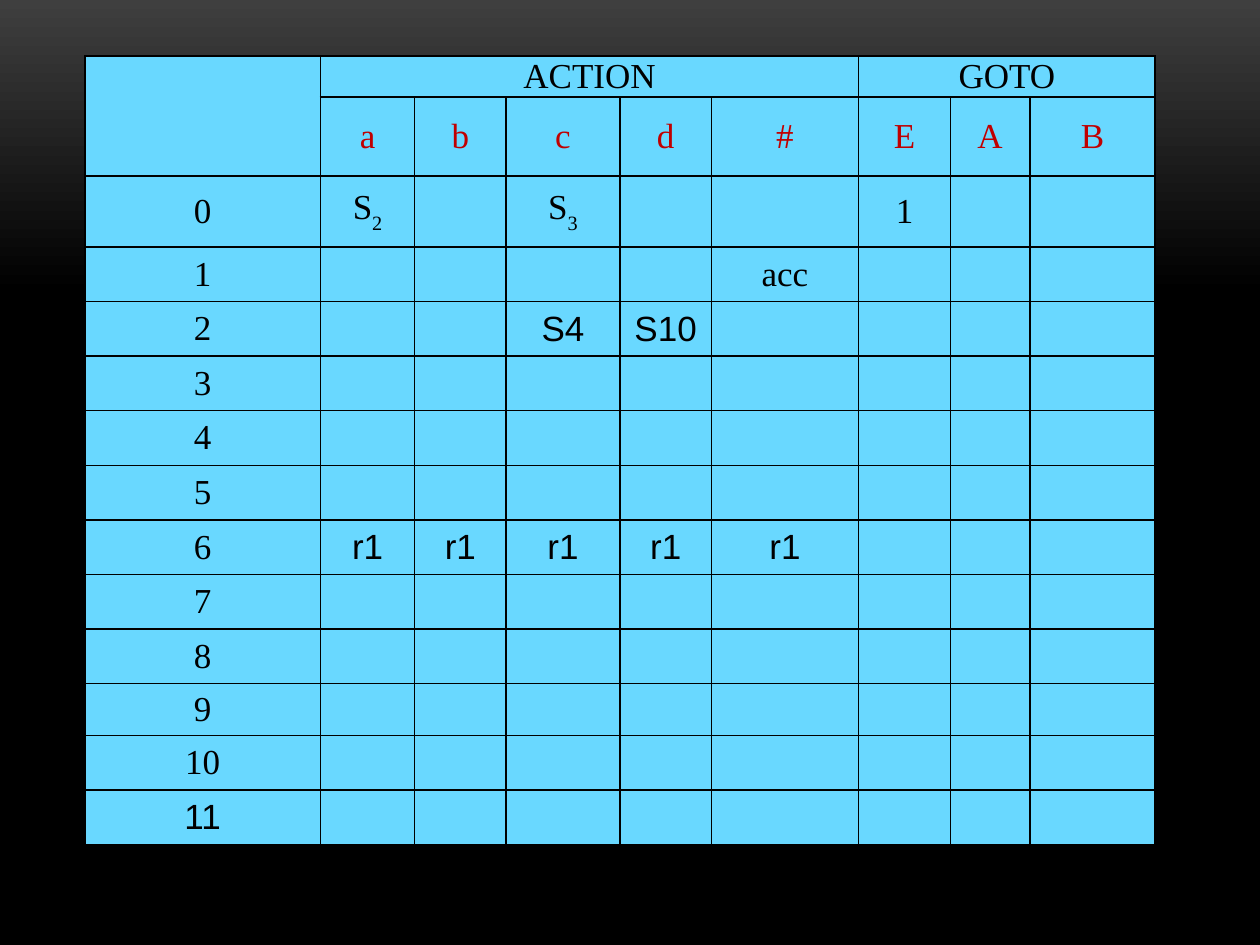
from dataclasses import dataclass

from lxml.etree import SubElement
from pptx import Presentation
from pptx.dml.color import RGBColor
from pptx.enum.text import MSO_ANCHOR, PP_ALIGN
from pptx.oxml.ns import qn
from pptx.util import Cm, Pt


@dataclass(frozen=True)
class Theme:
    glow: str = "3F3F3F"
    dark: str = "000000"
    cell: str = "69D8FF"
    ink: str = "000000"
    mark: str = "C00000"
    serif: str = "Times New Roman"
    sans: str = "Arial"
    size: int = 20
    line: int = 1


THEME = Theme()
COLS = [4.75, 1.9, 1.84, 2.3, 1.84, 2.97, 1.85, 1.6, 2.53]
ROWS = [0.83, 1.59, 1.43] + [1.1] * 8 + [1.05, 1.1, 1.1]
SPANS = [(0, 0, 1, 0), (0, 1, 0, 5), (0, 6, 0, 8)]
HEADS = ["a", "b", "c", "d", "#", "E", "A", "B"]
MOVES = {
    0: {"a": "S_2", "c": "S_3", "E": "1"},
    1: {"#": "acc"},
    2: {"c": "S4", "d": "S10"},
    6: {key: "r1" for key in HEADS[:5]},
}
SANS = {"S4", "S10", "r1", "11"}


def write(cell, text, color=THEME.ink, font=THEME.serif, size=THEME.size):
    para = cell.text_frame.paragraphs[0]
    para.alignment = PP_ALIGN.CENTER
    for level, part in enumerate(text.split("_")):
        run = para.add_run()
        run.text = part
        run.font.name = font
        run.font.size = Pt(size)
        run.font.bold = False
        run.font.color.rgb = RGBColor.from_string(color)
        if level:
            run.font._element.set("baseline", "-30000")


def style(cell):
    cell.margin_left = cell.margin_right = 0
    cell.margin_top = cell.margin_bottom = 0
    cell.vertical_anchor = MSO_ANCHOR.MIDDLE
    props = cell._tc.get_or_add_tcPr()
    for side in ("lnL", "lnR", "lnT", "lnB"):
        edge = SubElement(props, qn(f"a:{side}"), w=str(Pt(THEME.line)))
        fill = SubElement(edge, qn("a:solidFill"))
        SubElement(fill, qn("a:srgbClr"), val=THEME.ink)
    cell.fill.solid()
    cell.fill.fore_color.rgb = RGBColor.from_string(THEME.cell)


def paint(slide):
    fill = slide.background.fill
    fill.gradient()
    fill.gradient_angle = 270
    stops = zip(fill.gradient_stops, [(0, THEME.glow), (0.31, THEME.dark)])
    for stop, (place, color) in stops:
        stop.position = place
        stop.color.rgb = RGBColor.from_string(color)


def grid(slide, left, top):
    table = slide.shapes.add_table(
        len(ROWS), len(COLS), Cm(left), Cm(top), Cm(sum(COLS)), Cm(sum(ROWS))
    ).table
    table.first_row = table.horz_banding = False
    for col, width in zip(table.columns, COLS):
        col.width = Cm(width)
    for row, height in zip(table.rows, ROWS):
        row.height = Cm(height)
    for cell in table.iter_cells():
        style(cell)
    for row, col, last, end in SPANS:
        table.cell(row, col).merge(table.cell(last, end))

    write(table.cell(0, 1), "ACTION")
    write(table.cell(0, 6), "GOTO")
    for col, head in enumerate(HEADS, 1):
        write(table.cell(1, col), head, color=THEME.mark)
    for state in range(len(ROWS) - 2):
        moves = MOVES.get(state, {})
        texts = [str(state)] + [moves.get(head) for head in HEADS]
        for col, text in enumerate(texts):
            if text:
                font = THEME.sans if text in SANS else THEME.serif
                write(table.cell(state + 2, col), text, font=font)


def main():
    deck = Presentation()
    deck.slide_width, deck.slide_height = Cm(25.4), Cm(19.05)
    slide = deck.slides.add_slide(deck.slide_layouts[6])
    paint(slide)
    grid(slide, 1.71, 1.13)
    deck.save("out.pptx")


if __name__ == "__main__":
    main()
